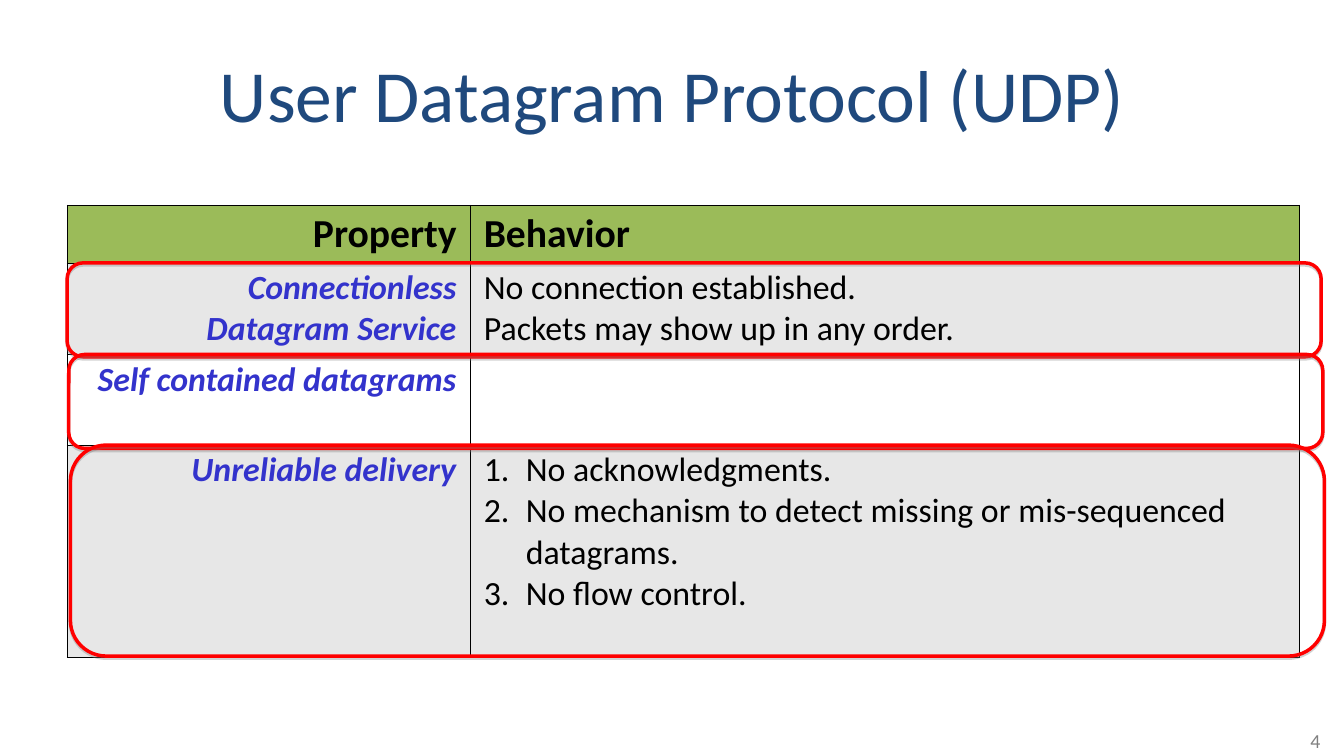
"""Build the slide on the User Datagram Protocol with its property table."""
import pptx
import pptx.dml.color
import pptx.enum.shapes
import pptx.enum.text
import pptx.oxml
import pptx.util
from pptx.util import Cm

NAMESPACE = 'xmlns:a="http://schemas.openxmlformats.org/drawingml/2006/main"'
RIGHT = pptx.enum.text.PP_ALIGN.RIGHT
LEFT = pptx.enum.text.PP_ALIGN.LEFT


def color(value):
    return pptx.dml.color.RGBColor.from_string(value)


def format_paragraph(paragraph, size, value, alignment, bold=False, italic=False):
    paragraph.alignment = alignment
    font = paragraph.font
    font.name = "Calibri"
    font.size = pptx.util.Pt(size)
    font.bold = bold
    font.italic = italic
    font.color.rgb = color(value)


presentation = pptx.Presentation()
presentation.slide_width = Cm(40.64)
presentation.slide_height = Cm(22.86)
slide = presentation.slides.add_slide(presentation.slide_layouts[5])

title = slide.shapes.title
title.left, title.top, title.width, title.height = Cm(2.03), Cm(0.91), Cm(36.58), Cm(3.81)
number = slide.shapes.add_textbox(Cm(31.83), Cm(21.84), Cm(8.46), Cm(1.52))
for shape, text, size, value, alignment in [
    (title, "User Datagram Protocol (UDP)", 63, "1F497D", pptx.enum.text.PP_ALIGN.CENTER),
    (number, "4", 17, "808080", RIGHT),
]:
    frame = shape.text_frame
    frame.text = text
    frame.word_wrap = True
    frame.auto_size = pptx.enum.text.MSO_AUTO_SIZE.NONE
    frame.margin_left = frame.margin_right = Cm(0.36)
    frame.margin_top = frame.margin_bottom = Cm(0.18)
    format_paragraph(frame.paragraphs[0], size, value, alignment)
title.text_frame.vertical_anchor = pptx.enum.text.MSO_ANCHOR.MIDDLE

rows = [
    ("Property", "Behavior", 1.75, "9BBB59"),
    ("Connectionless\nDatagram Service",
     "No connection established.\nPackets may show up in any order.", 2.77, "E7E7E7"),
    ("Self contained datagrams", "", 2.74, "FFFFFF"),
    ("Unreliable delivery",
     "No acknowledgments.\nNo mechanism to detect missing or mis-sequenced datagrams.\n"
     "No flow control.", 6.4, "E7E7E7"),
]
table_left, table_top = 2.03, 6.2
table = slide.shapes.add_table(
    len(rows), 2, Cm(table_left), Cm(table_top), Cm(37.26), Cm(13.66)).table
table.columns[0].width = Cm(12.19)
table.columns[1].width = Cm(25.07)

for row_index, (property_name, behavior, height, fill) in enumerate(rows):
    table.rows[row_index].height = Cm(height)
    for column_index, text in enumerate((property_name, behavior)):
        cell = table.cell(row_index, column_index)
        cell.text = text
        cell.margin_left = cell.margin_right = Cm(0.41)
        cell.margin_top = cell.margin_bottom = Cm(0.13)
        for side in "LRTB":
            cell._tc.get_or_add_tcPr().append(pptx.oxml.parse_xml(
                f'<a:ln{side} {NAMESPACE} w="5715"><a:solidFill><a:srgbClr val="000000"/>'
                f'</a:solidFill></a:ln{side}>'))
        cell.fill.solid()
        cell.fill.fore_color.rgb = color(fill)
        is_header = row_index == 0
        is_property = column_index == 0
        for paragraph in cell.text_frame.paragraphs:
            format_paragraph(
                paragraph,
                34 if is_header else 29,
                "3333CC" if is_property and not is_header else "000000",
                RIGHT if is_property else LEFT,
                bold=is_header or is_property,
                italic=is_property and not is_header)

for paragraph in table.cell(3, 1).text_frame.paragraphs:
    properties = paragraph._p.get_or_add_pPr()
    properties.set("marL", str(Cm(1.27)))
    properties.set("indent", str(-Cm(1.27)))
    properties.insert(0, pptx.oxml.parse_xml(
        f'<a:buAutoNum {NAMESPACE} type="arabicPeriod"/>'))

outline_top = table_top
for index, outline_height in enumerate((2.84, 2.84, 6.38)):
    outline_top += rows[index][2]
    outline = slide.shapes.add_shape(
        pptx.enum.shapes.MSO_SHAPE.ROUNDED_RECTANGLE,
        Cm(table_left + 0.05 * index), Cm(outline_top), Cm(37.92), Cm(outline_height))
    outline.adjustments[0] = 0.17
    outline.fill.background()
    outline.line.color.rgb = color("FF0000")
    outline.line.width = pptx.util.Pt(3)
    outline.shadow.inherit = False
    effects = outline._element.spPr.find(pptx.oxml.ns.qn("a:effectLst"))
    effects.append(pptx.oxml.parse_xml(
        f'<a:outerShdw {NAMESPACE} dist="22860" dir="5400000" rotWithShape="0">'
        '<a:srgbClr val="808080"><a:alpha val="35000"/></a:srgbClr></a:outerShdw>'))

presentation.save("out.pptx")
